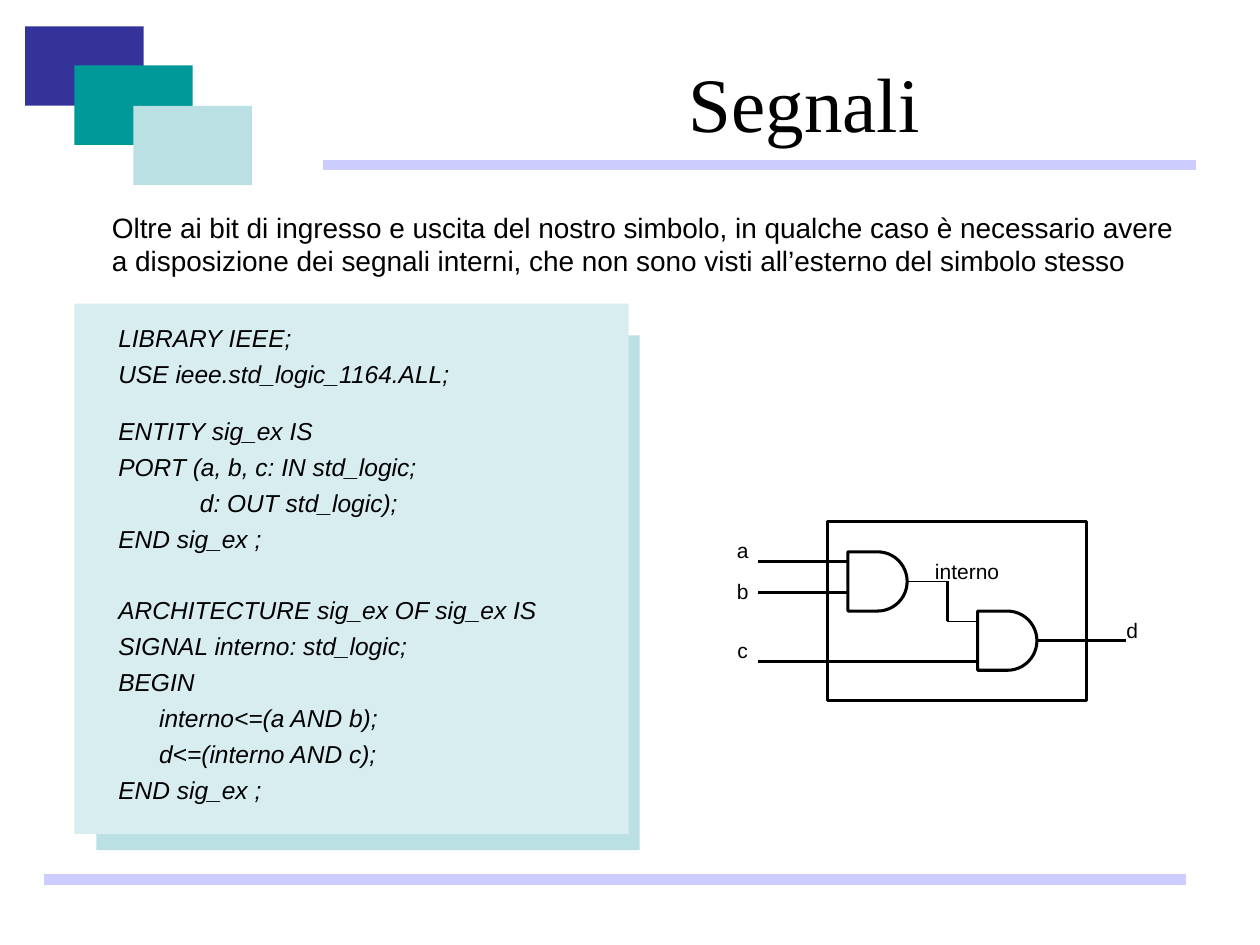
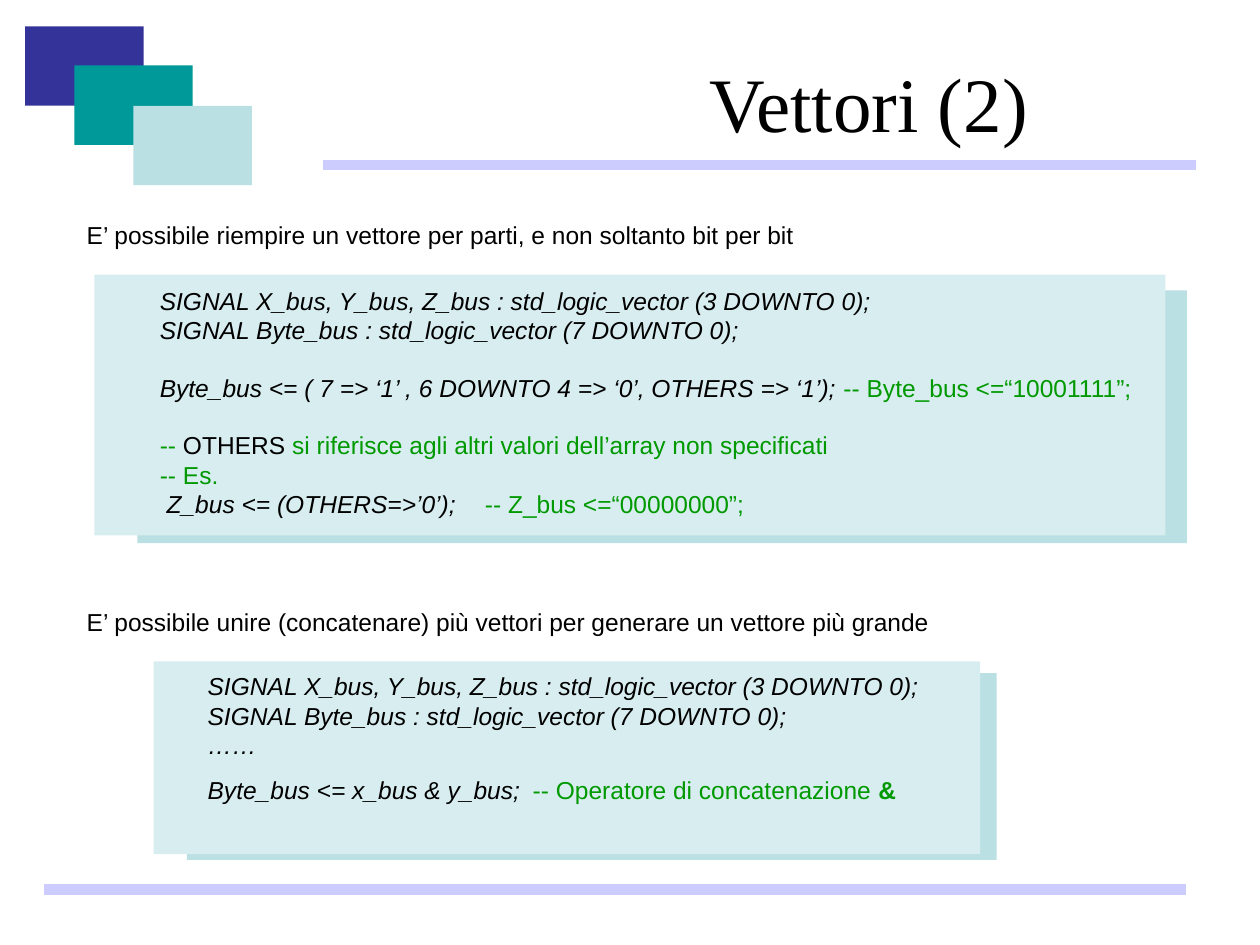
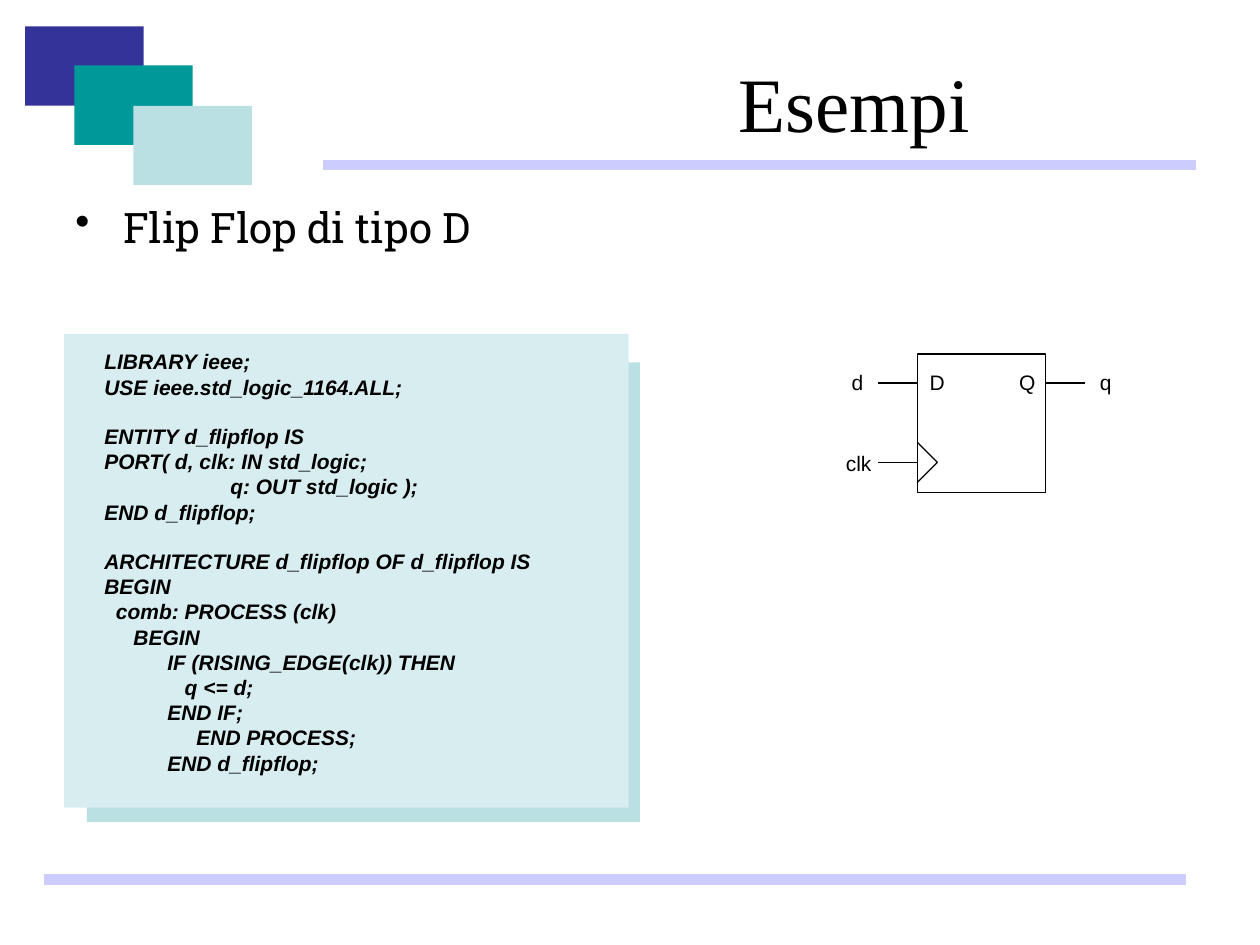
from dataclasses import dataclass

from lxml.etree import SubElement
from pptx import Presentation
from pptx.dml.color import RGBColor
from pptx.enum.shapes import MSO_CONNECTOR, MSO_SHAPE
from pptx.enum.text import MSO_ANCHOR, PP_ALIGN
from pptx.oxml.ns import qn
from pptx.util import Inches, Pt

COLORS = {
    "ink": "000000",
    "navy": "333399",
    "teal": "009999",
    "aqua": "BBE0E3",
    "panel": "D8EDF0",
    "rule": "CCCCFF",
    "comment": "009900",
}
# run style: colour, italic, bold
STYLES = {
    "code": ("ink", True, False),
    "bold code": ("ink", True, True),
    "plain": ("ink", False, False),
    "comment": ("comment", False, False),
    "strong comment": ("comment", False, True),
}
THIN, THICK = 0.75, 1.75


@dataclass
class Line:
    """One line of code: runs of (text, style), space before in points, indent and tab in inches."""
    runs: list
    before: float = 0
    indent: float = 0
    tab: float = 0


def color(name):
    return RGBColor.from_string(COLORS[name])


def style_run(r, size, style="plain", font="Arial"):
    name, italic, bold = STYLES[style]
    r.font.name, r.font.size = font, Pt(size)
    r.font.italic, r.font.bold = italic, bold
    r.font.color.rgb = color(name)


def add_frame(s, x, y, w, h):
    tf = s.shapes.add_textbox(Inches(x), Inches(y), Inches(w), Inches(h)).text_frame
    tf.word_wrap = True
    return tf


def add_text(s, box, text, size, align=PP_ALIGN.LEFT, font="Arial"):
    tf = add_frame(s, *box)
    tf.text = text
    p = tf.paragraphs[0]
    p.alignment = align
    style_run(p.runs[0], size, font=font)
    return tf


def add_label(s, x, y, w, text):
    add_text(s, (x, y, w, 0.3), text, 12, PP_ALIGN.CENTER)


def add_block(s, x, y, w, h, fill=None, outline=None, preset=MSO_SHAPE.RECTANGLE):
    """Filled shape without outline, or an outlined shape without fill."""
    sp = s.shapes.add_shape(preset, Inches(x), Inches(y), Inches(w), Inches(h))
    sp.shadow.inherit = False
    if fill:
        sp.fill.solid()
        sp.fill.fore_color.rgb = color(fill)
    else:
        sp.fill.background()
    if outline:
        sp.line.color.rgb = color("ink")
        sp.line.width = Pt(outline)
    else:
        sp.line.fill.background()
    return sp


def add_line(s, x1, y1, x2, y2, width=THICK, name="ink"):
    line = s.shapes.add_connector(
        MSO_CONNECTOR.STRAIGHT, Inches(x1), Inches(y1), Inches(x2), Inches(y2))
    line.line.color.rgb = color(name)
    line.line.width = Pt(width)
    SubElement(line._element.spPr, qn("a:effectLst"))
    return line


def new_slide(prs, title, title_left, footer_y=6.98):
    """Slide with the three corner blocks, the title and both rules."""
    s = prs.slides.add_slide(prs.slide_layouts[6])
    tf = add_text(s, (title_left, 0.3, 9.5 - title_left, 1.01), title, 44,
                  PP_ALIGN.CENTER, "Times New Roman")
    tf.vertical_anchor = MSO_ANCHOR.MIDDLE
    add_line(s, 2.56, 1.31, 9.49, 1.31, 6, "rule")
    for x, y, fill in ((0.2, 0.21, "navy"), (0.59, 0.52, "teal"), (1.06, 0.84, "aqua")):
        add_block(s, x, y, 0.94, 0.63, fill)
    add_line(s, 0.35, footer_y, 9.41, footer_y, 6, "rule")
    return s


def code_panel(s, box, inset, lines, size=14, style="code", spacing=1.0):
    """Panel over a darker offset panel; a line is a string in the given style or a Line."""
    x, y, w, h = box
    dx, dy = inset
    add_block(s, x + 0.04 * w, y + 0.06 * h, 0.98 * w, 0.97 * h, "aqua")
    add_block(s, x, y, w, h, "panel")
    tf = add_frame(s, x + dx, y + dy, w - dx, h - dy)
    for i, line in enumerate(lines):
        if isinstance(line, str):
            line = Line([(line, style)])
        p = tf.paragraphs[0] if i == 0 else tf.add_paragraph()
        pPr = p._p.get_or_add_pPr()
        if line.indent:
            pPr.set("marL", str(Inches(line.indent)))
            pPr.set("indent", "0")
        if line.tab:
            tabs = SubElement(pPr, qn("a:tabLst"))
            SubElement(tabs, qn("a:tab"), pos=str(Inches(line.tab)), algn="l")
        p.line_spacing = spacing
        p.space_before = Pt(line.before if i else 0)
        for text, run_style in line.runs:
            r = p.add_run()
            r.text = text
            style_run(r, size, run_style)


def gate_circuit(s, x, y):
    """Two AND gates in a box whose top left corner is at x, y."""
    gate = 0.47
    in_x, and2_x, bend_x = x - 0.55, x + 1.19, x + 0.95
    and1_x, and1_y, and2_y = x + 0.16, y + 0.24, y + 0.71
    mid1, mid2 = and1_y + gate / 2, and2_y + gate / 2
    add_block(s, x, y, 2.05, 1.42, outline=THICK)
    and1, and2 = [
        add_block(s, gx, gy, gate, gate, outline=THICK, preset=MSO_SHAPE.FLOWCHART_DELAY)
        for gx, gy in ((and1_x, and1_y), (and2_x, and2_y))]
    for wire_y, end_x in ((0.32, and1_x), (0.56, and1_x), (1.11, and2_x)):
        add_line(s, in_x, y + wire_y, end_x, y + wire_y)
    output = add_line(s, and2_x + gate, mid2, x + 2.37, mid2)
    output.begin_connect(and2, 3)
    inner = add_line(s, and1_x + gate, mid1, bend_x, mid1, THIN)
    inner.begin_connect(and1, 3)
    add_line(s, bend_x, mid1, bend_x, y + 0.79)
    add_line(s, bend_x, y + 0.79, and2_x, y + 0.79, THIN)
    for text, label_y in (("a", 0.08), ("b", 0.4), ("c", 0.87)):
        add_label(s, x - 0.96, y + label_y, 0.57, text)
    add_label(s, x + 2.13, y + 0.71, 0.57, "d")
    add_label(s, x + 0.71, y + 0.24, 0.79, "interno")


def flip_flop(s, x, y):
    """D flip flop symbol whose top left corner is at x, y."""
    w, lead, data_y, clock_y, notch = 1.02, 0.31, y + 0.23, y + 0.86, 0.16
    add_block(s, x, y, w, 1.1, outline=THIN)
    for start_x, wire_y in ((x - lead, data_y), (x + w, data_y), (x - lead, clock_y)):
        add_line(s, start_x, wire_y, start_x + lead, wire_y, THIN)
    for side in (-notch, notch):
        add_line(s, x, clock_y + side, x + notch, clock_y, THIN)
    for text, label_x in (("d", -0.63), ("D", 0), ("Q", 0.71), ("q", 1.34)):
        add_label(s, x + label_x, y + 0.07, 0.31, text)
    add_label(s, x - 0.78, y + 0.72, 0.63, "clk")


def signals_slide(prs):
    s = new_slide(prs, "Segnali", 3.27)
    add_text(s, (0.79, 1.62, 8.7, 0.64),
             "Oltre ai bit di ingresso e uscita del nostro simbolo, in qualche caso è "
             "necessario avere a disposizione dei segnali interni, che non sono visti "
             "all’esterno del simbolo stesso", 16)
    gaps = {"ENTITY sig_ex IS": 20.8, "ARCHITECTURE sig_ex OF sig_ex IS": 28.9}
    code = [
        "LIBRARY IEEE;",
        "USE ieee.std_logic_1164.ALL;",
        "ENTITY sig_ex IS",
        "PORT (a, b, c: IN std_logic;",
        "            d: OUT std_logic);",
        "END sig_ex ;",
        "ARCHITECTURE sig_ex OF sig_ex IS",
        "SIGNAL interno: std_logic;",
        "BEGIN",
        "      interno<=(a AND b);",
        "      d<=(interno AND c);",
        "END sig_ex ;",
    ]
    lines = [Line([(text, "code")], before=gaps.get(text, 8.8)) for text in code]
    code_panel(s, (0.59, 2.41, 4.4, 4.21), (0.25, 0.17), lines, spacing=0.7)
    gate_circuit(s, 6.57, 4.14)


def vectors_slide(prs):
    s = new_slide(prs, "Vettori (2)", 4.29, footer_y=7.06)
    declarations = [
        "SIGNAL X_bus, Y_bus, Z_bus : std_logic_vector (3 DOWNTO 0);",
        "SIGNAL Byte_bus : std_logic_vector (7 DOWNTO 0);",
    ]
    blank, comment_tab = 16.1, 2.58
    add_text(s, (0.59, 1.7, 9.06, 0.34),
             "E’ possibile riempire un vettore per parti, e non soltanto bit per bit", 14)
    code_panel(s, (0.75, 2.18, 8.5, 2.07), (0.42, 0.04), declarations + [
        Line([("Byte_bus <= ( 7 => ‘1’ , 6 DOWNTO 4 => ‘0’, OTHERS => ‘1’);", "code"),
              (" -- Byte_bus <=“10001111”;", "comment")], before=blank),
        Line([("-- ", "comment"), ("OTHERS ", "plain"),
              ("si riferisce agli altri valori dell’array non specificati", "comment")],
             before=blank),
        Line([("-- Es.", "comment")]),
        Line([(" Z_bus <= (OTHERS=>’0’);", "code"),
              ("\t-- Z_bus <=“00000000”;", "comment")], tab=comment_tab),
    ])
    add_text(s, (0.59, 4.77, 9.06, 0.34),
             "E’ possibile unire (concatenare) più vettori per generare un vettore più grande",
             14)
    code_panel(s, (1.22, 5.25, 6.56, 1.53), (0.33, 0.03), declarations + [
        "……",
        Line([("Byte_bus <= x_bus & y_bus;", "code"),
              ("\t-- Operatore di concatenazione ", "comment"), ("&", "strong comment")],
             before=8.8, tab=comment_tab),
    ])


def examples_slide(prs):
    s = new_slide(prs, "Esempi", 4.06)
    tf = add_frame(s, 0.5, 1.55, 9, 0.6)
    tf.text = "Flip Flop di tipo D"
    p = tf.paragraphs[0]
    pPr = p._p.get_or_add_pPr()
    pPr.set("marL", str(Inches(0.38)))
    pPr.set("indent", str(-Inches(0.38)))
    SubElement(pPr, qn("a:buChar"), char="•")
    style_run(p.runs[0], 24, font="Roboto Slab")

    style, blank = "bold code", 13.8
    nested = ["IF (RISING_EDGE(clk)) THEN", "   q <= d;", "END IF;",
              "     END PROCESS;", "END d_flipflop;"]
    code_panel(s, (0.51, 2.65, 4.48, 3.76), (0.22, 0.07), [
        "LIBRARY ieee;",
        "USE ieee.std_logic_1164.ALL;",
        Line([("ENTITY d_flipflop IS", style)], before=blank),
        "PORT( d, clk: IN std_logic;",
        Line([("\tq: OUT std_logic );", style)], tab=1),
        "END d_flipflop;",
        Line([("ARCHITECTURE d_flipflop OF d_flipflop IS", style)], before=blank),
        "BEGIN",
        "  comb: PROCESS (clk)",
        "     BEGIN",
        *[Line([(text, style)], indent=0.5) for text in nested],
    ], size=12, style=style)
    flip_flop(s, 7.28, 2.81)


def main():
    prs = Presentation()
    prs.slide_width, prs.slide_height = Inches(10), Inches(7.5)
    signals_slide(prs)
    vectors_slide(prs)
    examples_slide(prs)
    prs.save("out.pptx")


if __name__ == "__main__":
    main()
